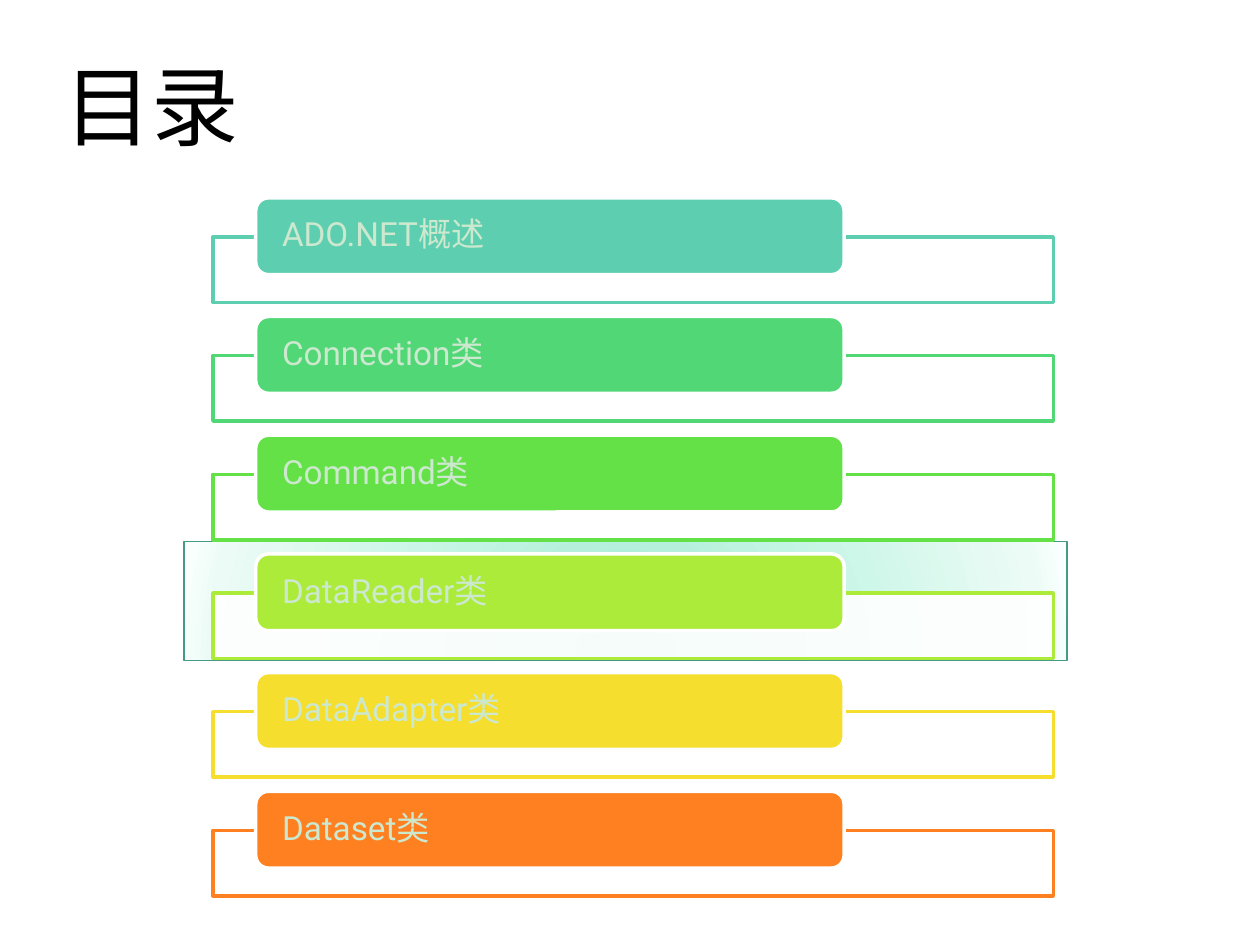
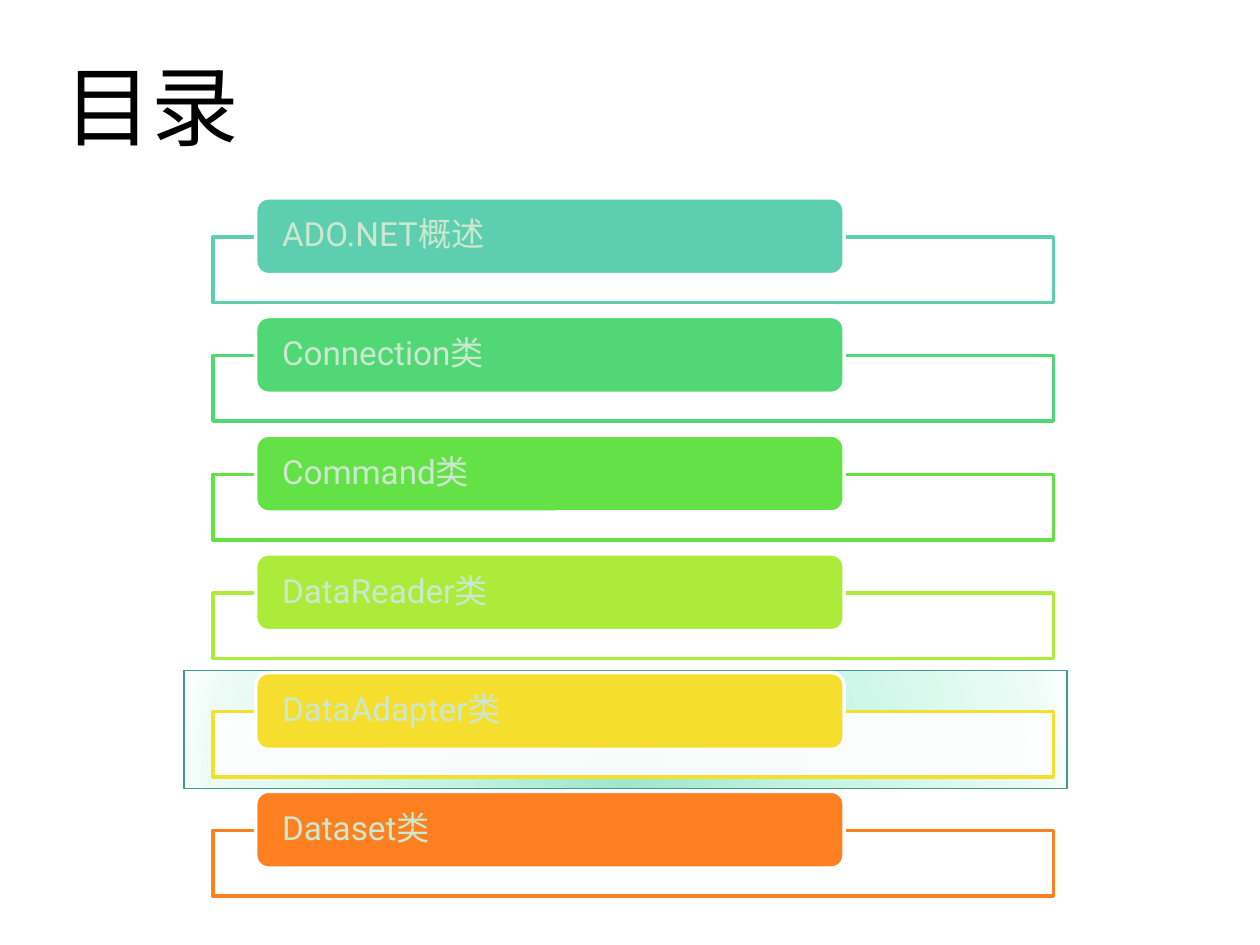
from lxml import etree
from pptx import Presentation
from pptx.dml.color import RGBColor
from pptx.enum import shapes, text
from pptx.oxml import ns
from pptx.util import Inches, Pt

WHITE = RGBColor(0xFF, 0xFF, 0xFF)
BLACK = RGBColor(0x00, 0x00, 0x00)
PALE = RGBColor(0xCC, 0xE8, 0xCF)
EDGE = RGBColor(0x44, 0x9A, 0x82)
GLOW = [(0, RGBColor(0x9D, 0xE7, 0xCE)), (43, RGBColor(0xC3, 0xF5, 0xE3)),
        (93, RGBColor(0xEC, 0xFB, 0xF6)), (100, RGBColor(0xF8, 0xFF, 0xFC))]
TOPICS = [("ADO.NET概述", RGBColor(0x5D, 0xCE, 0xAF)),
          ("Connection类", RGBColor(0x51, 0xD7, 0x75)),
          ("Command类", RGBColor(0x64, 0xE1, 0x46)),
          ("DataReader类", RGBColor(0xAD, 0xEB, 0x3A)),
          ("DataAdapter类", RGBColor(0xF5, 0xDE, 0x2D)),
          ("Dataset类", RGBColor(0xFF, 0x80, 0x21))]
LATIN, HAN = "Roboto", "Noto Sans CJK SC"
FIRST, LAST = 1.57, 6.28  # tops of the first and last bars
MARKS = [4.3, 5.32]  # top of the highlight on each slide


def add_run(para, words, size, color, latin):
    run = para.add_run()
    run.text = words
    font = run.font
    font.size, font.name = Pt(size), latin
    font.color.rgb = color
    east = etree.SubElement(run._r.get_or_add_rPr(), ns.qn("a:ea"))
    east.set("typeface", HAN)


def set_frame(frame, anchor, left, top, right, bottom):
    frame.word_wrap = True
    frame.auto_size = text.MSO_AUTO_SIZE.NONE
    frame.vertical_anchor = anchor
    frame.margin_left, frame.margin_top = Inches(left), Inches(top)
    frame.margin_right, frame.margin_bottom = Inches(right), Inches(bottom)
    para = frame.paragraphs[0]
    para.alignment = text.PP_ALIGN.LEFT
    return para


def add_box(slide, kind, left, top, width, height, line, weight):
    box = slide.shapes.add_shape(kind, Inches(left), Inches(top),
                                 Inches(width), Inches(height))
    box.shadow.inherit = False
    box.line.color.rgb = line
    box.line.width = Pt(weight)
    return box


def fill_solid(box, color, alpha=100):
    box.fill.solid()
    box.fill.fore_color.rgb = color
    if alpha < 100:
        tint = box.fill._xPr.find(".//" + ns.qn("a:srgbClr"))
        etree.SubElement(tint, ns.qn("a:alpha")).set("val", str(alpha * 1000))


def fill_glow(box):
    """Give the box a circular gradient centred beyond its lower edge."""
    box.fill.gradient()
    grad = box.fill._xPr.find(ns.qn("a:gradFill"))
    for part in list(grad):
        grad.remove(part)
    stops = etree.SubElement(grad, ns.qn("a:gsLst"))
    for place, color in GLOW:
        stop = etree.SubElement(stops, ns.qn("a:gs"), pos=str(place * 1000))
        etree.SubElement(stop, ns.qn("a:srgbClr"), val=str(color))
    ring = etree.SubElement(grad, ns.qn("a:path"))
    ring.set("path", "circle")
    etree.SubElement(ring, ns.qn("a:fillToRect"),
                     l="50000", t="130000", r="50000", b="-30000")


def add_mark(slide, top):
    mark = add_box(slide, shapes.MSO_SHAPE.RECTANGLE,
                   1.46, top, 7.01, 0.94, EDGE, 0.75)
    fill_glow(mark)


def add_title(slide, words):
    title = slide.shapes.title
    title.left, title.top = Inches(0.51), Inches(0)
    title.width, title.height = Inches(9.37), Inches(1.25)
    para = set_frame(title.text_frame, text.MSO_ANCHOR.BOTTOM, 0, 0.05, 0, 0)
    add_run(para, words, 50, BLACK, HAN)


def add_topic(slide, top, words, color):
    """Draw an outlined panel with a labelled bar over its top edge."""
    panel = add_box(slide, shapes.MSO_SHAPE.RECTANGLE,
                    1.69, top + 0.31, 6.67, 0.52, color, 2)
    fill_solid(panel, WHITE, 90)
    bar = add_box(slide, shapes.MSO_SHAPE.ROUNDED_RECTANGLE,
                  2.03, top, 4.67, 0.61, WHITE, 2)
    fill_solid(bar, color)
    para = set_frame(bar.text_frame, text.MSO_ANCHOR.MIDDLE, 0.18, 0, 0.18, 0)
    para.line_spacing = 0.9
    add_run(para, words, 19, PALE, LATIN)


def add_agenda(deck, mark):
    slide = deck.slides.add_slide(deck.slide_layouts[5])
    slide.background.fill.solid()
    slide.background.fill.fore_color.rgb = WHITE
    add_mark(slide, mark)
    add_title(slide, "目录")
    pitch = (LAST - FIRST) / (len(TOPICS) - 1)
    for row, (words, color) in enumerate(TOPICS):
        add_topic(slide, FIRST + row * pitch, words, color)


def main():
    deck = Presentation()
    deck.slide_width, deck.slide_height = Inches(10), Inches(7.5)
    for mark in MARKS:
        add_agenda(deck, mark)
    deck.save("out.pptx")


if __name__ == "__main__":
    main()
